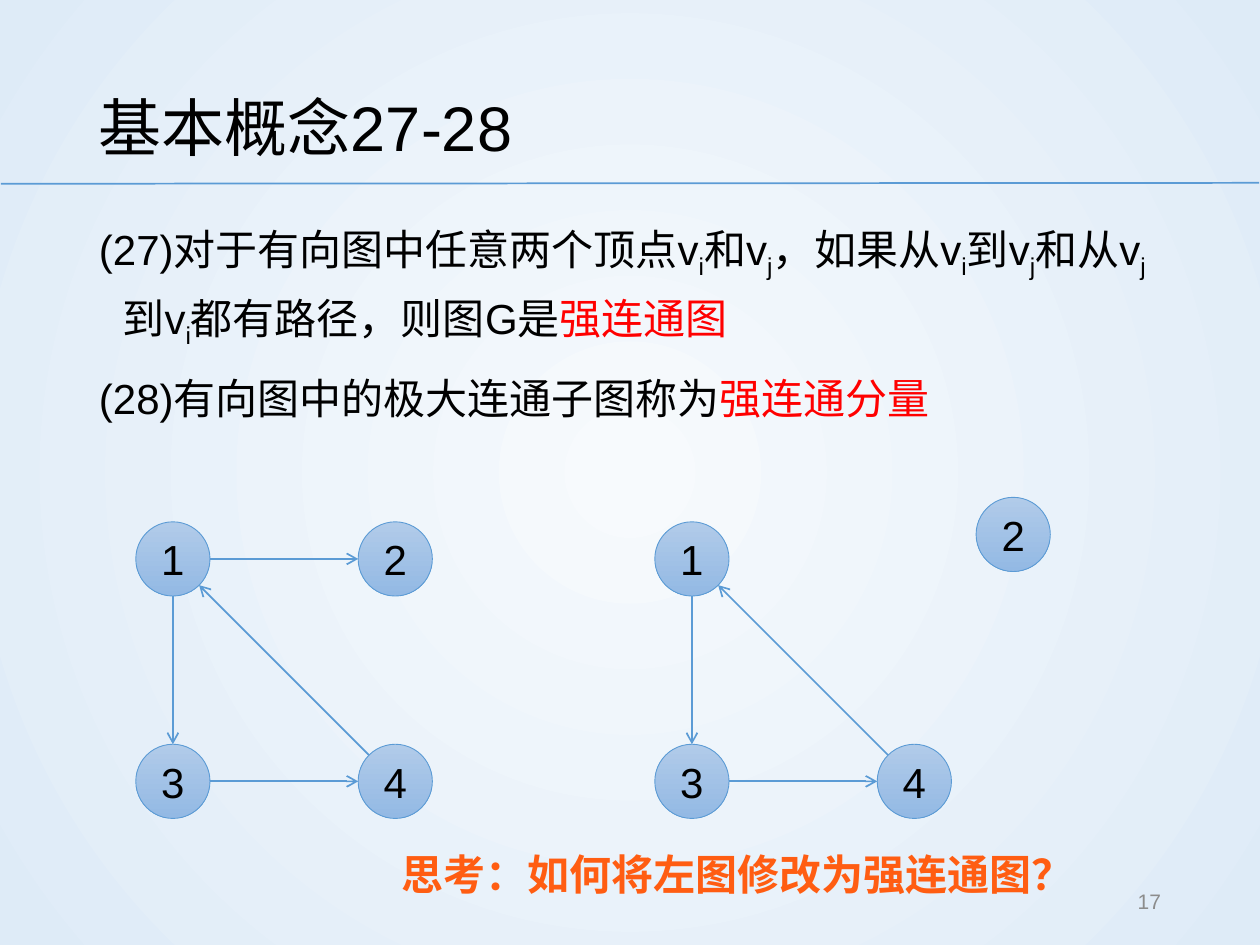
from dataclasses import dataclass
from math import hypot

from pptx import Presentation
from pptx.dml.color import RGBColor
from pptx.enum.shapes import MSO_CONNECTOR, MSO_SHAPE
from pptx.enum.text import MSO_ANCHOR, PP_ALIGN
from pptx.oxml import parse_xml
from pptx.oxml.ns import nsdecls
from pptx.oxml.xmlchemy import OxmlElement
from pptx.util import Pt


@dataclass
class Theme:
    font: str = "Arial"
    black: str = "000000"
    red: str = "FF0000"
    orange: str = "FF5D12"
    gray: str = "8C8C8C"
    blue: str = "5B9BD5"
    node_top: str = "B1CBE9"
    node_bottom: str = "93B9E4"
    bg_center: str = "F7FAFD"
    bg_edge: str = "DEEBF7"
    title: int = 36
    body: int = 24
    small: int = 12


theme = Theme()


def add_run(p, text, size, color):
    r = p.add_run()
    r.text = text
    r.font.name = theme.font
    r.font.size = Pt(size)
    r.font.color.rgb = RGBColor.from_string(color)
    return r


def add_line(s, x1, y1, x2, y2, arrow=True):
    line = s.shapes.add_connector(MSO_CONNECTOR.STRAIGHT, Pt(x1), Pt(y1), Pt(x2), Pt(y2))
    line.line.color.rgb = RGBColor.from_string(theme.blue)
    line.line.width = Pt(1)
    line._element.spPr.append(OxmlElement("a:effectLst"))
    if arrow:
        tail = OxmlElement("a:tailEnd")
        tail.set("type", "arrow")
        line.line._get_or_add_ln().append(tail)


prs = Presentation()
prs.slide_width, prs.slide_height = Pt(720), Pt(540)
s = prs.slides.add_slide(prs.slide_layouts[6])
s._element.cSld.insert(0, parse_xml(
    f'<p:bg {nsdecls("p", "a")}><p:bgPr><a:gradFill><a:gsLst>'
    f'<a:gs pos="0"><a:srgbClr val="{theme.bg_center}"/></a:gs>'
    f'<a:gs pos="100000"><a:srgbClr val="{theme.bg_edge}"/></a:gs></a:gsLst>'
    '<a:path path="circle"><a:fillToRect l="50000" t="50000" r="50000" b="50000"/></a:path>'
    '</a:gradFill><a:effectLst/></p:bgPr></p:bg>'))

add_line(s, 0.5, 105, 719.5, 104.5, arrow=False)

labels = [
    ("基本概念27-28", (49.5, 29, 621, 78), theme.title, theme.black, PP_ALIGN.LEFT, 1.2),
    ("思考：如何将左图修改为强连通图？", (219, 481.5, 404.5, 36), theme.body, theme.orange, PP_ALIGN.CENTER, 1),
    ("17", (508.5, 500.5, 162, 28.75), theme.small, theme.gray, PP_ALIGN.RIGHT, 1),
]
for text, box, size, color, align, spacing in labels:
    tf = s.shapes.add_textbox(*map(Pt, box)).text_frame
    tf.word_wrap = color != theme.orange
    tf.vertical_anchor = MSO_ANCHOR.MIDDLE
    p = tf.paragraphs[0]
    p.alignment = align
    p.line_spacing = spacing
    r = add_run(p, text, size, color)
    r.font.bold = color == theme.orange

definitions = [
    (["(27)对于有向图中任意两个顶点v", "i", "和v", "j", "，如果从v", "i", "到v", "j",
      "和从v", "j", "到v", "i", "都有路径，则图G是"], "强连通图"),
    (["(28)有向图中的极大连通子图称为"], "强连通分量"),
]
tf = s.shapes.add_textbox(Pt(49.5), Pt(117.5), Pt(621), Pt(369)).text_frame
tf.word_wrap = True
for i, (parts, term) in enumerate(definitions):
    p = tf.add_paragraph() if i else tf.paragraphs[0]
    p.line_spacing = 1.2
    p.space_before = Pt(7.5)
    pPr = p._p.get_or_add_pPr()
    pPr.set("marL", str(Pt(13.5)))
    pPr.set("indent", str(-Pt(13.5)))
    for part in parts:
        r = add_run(p, part, theme.body, theme.black)
        if part in ("i", "j"):
            r._r.get_or_add_rPr().set("baseline", "-25000")
    add_run(p, term, theme.body, theme.red)

diameter, step, top = 42.4, 127.1, 319.4
graphs = [
    (98.8, {}, ["12", "13", "34", "41"]),
    (395.4, {"2": (579, 305.4)}, ["13", "34", "41"]),
]
for left, moved, edges in graphs:
    centers = {
        "1": (left, top), "2": (left + step, top),
        "3": (left, top + step), "4": (left + step, top + step),
    } | moved
    for name, (x, y) in centers.items():
        sp = s.shapes.add_shape(MSO_SHAPE.OVAL, Pt(x - diameter / 2), Pt(y - diameter / 2),
                                Pt(diameter), Pt(diameter))
        sp.shadow.inherit = False
        sp.fill.gradient()
        sp.fill.gradient_angle = 270
        for stop, color, pos in zip(sp.fill.gradient_stops, (theme.node_top, theme.node_bottom), (0, 1)):
            stop.color.rgb = RGBColor.from_string(color)
            stop.position = pos
        sp.line.color.rgb = RGBColor.from_string(theme.blue)
        sp.line.width = Pt(0.5)
        tf = sp.text_frame
        tf.margin_left = tf.margin_right = tf.margin_top = tf.margin_bottom = 0
        tf.vertical_anchor = MSO_ANCHOR.MIDDLE
        tf.paragraphs[0].alignment = PP_ALIGN.CENTER
        add_run(tf.paragraphs[0], name, theme.body, theme.black)
    for start, end in edges:
        (x1, y1), (x2, y2) = centers[start], centers[end]
        ratio = diameter / 2 / hypot(x2 - x1, y2 - y1)
        dx, dy = (x2 - x1) * ratio, (y2 - y1) * ratio
        add_line(s, x1 + dx, y1 + dy, x2 - dx, y2 - dy)

prs.save("out.pptx")
